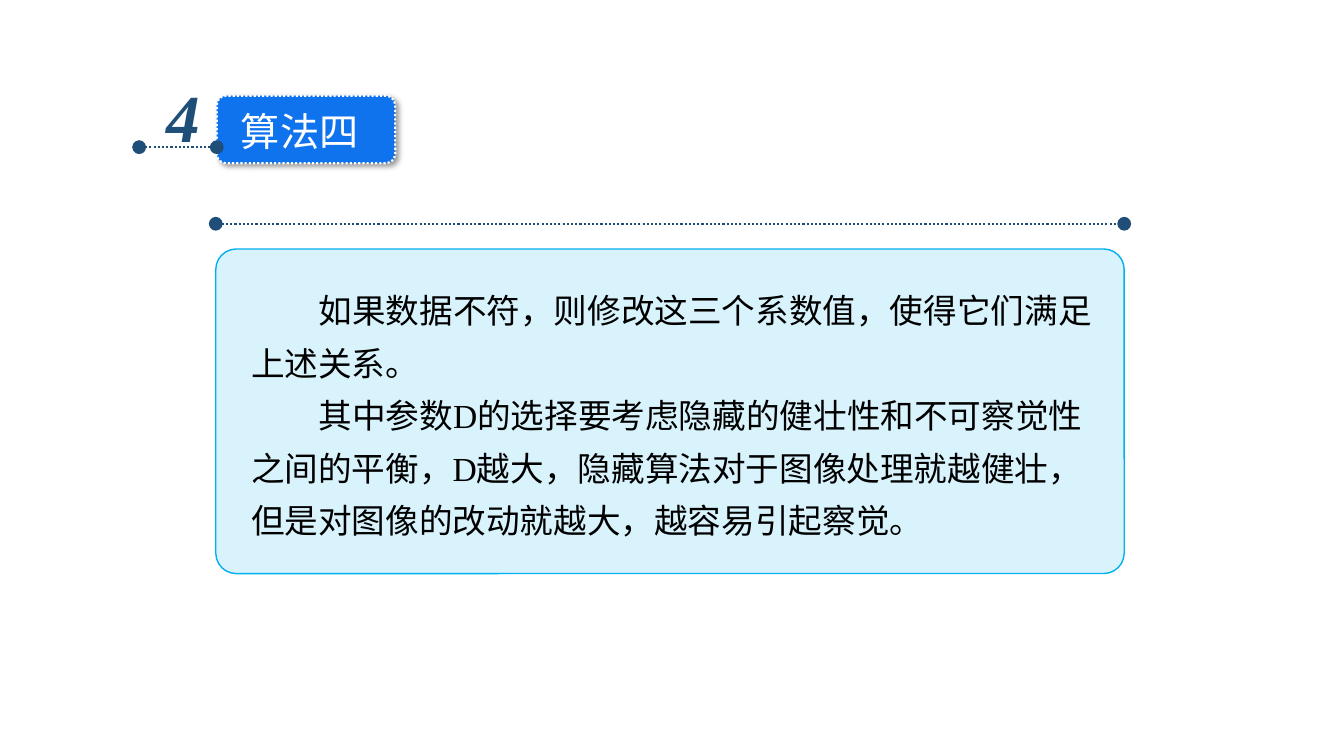
from lxml import etree
from pptx import Presentation
from pptx.dml.color import RGBColor
from pptx.enum.dml import MSO_LINE
from pptx.enum.shapes import MSO_CONNECTOR, MSO_SHAPE
from pptx.enum.text import MSO_ANCHOR, MSO_AUTO_SIZE, PP_ALIGN
from pptx.oxml import parse_xml
from pptx.oxml.ns import nsdecls, qn
from pptx.util import Inches, Pt

# Content
HEADING = "算法四"
NUMBER = "4"
EXPLANATION = [
    "如果数据不符，则修改这三个系数值，使得它们满足上述关系。",
    "其中参数D的选择要考虑隐藏的健壮性和不可察觉性之间的平衡，D越大，"
    "隐藏算法对于图像处理就越健壮，但是对图像的改动就越大，越容易引起察觉。",
]

# Style
NAVY = RGBColor(0x1F, 0x4E, 0x79)
BLUE = RGBColor(0x0F, 0x73, 0xEE)
CYAN = RGBColor(0x00, 0xB0, 0xF0)
WHITE = RGBColor(0xFF, 0xFF, 0xFF)
BLACK = RGBColor(0x00, 0x00, 0x00)
SERIF, SANS = "Times New Roman", "Noto Sans CJK SC"
DOTTED = MSO_LINE.ROUND_DOT
ROUNDED = MSO_SHAPE.ROUNDED_RECTANGLE

# Layout: the panel and the rule above it share their left edge and width
PANEL_LEFT, PANEL_WIDTH = 2.14, 9.01
RULES = [(1.38, 2.15, 1.46), (PANEL_LEFT, PANEL_LEFT + PANEL_WIDTH, 2.22)]


def write(box, paragraphs, size, color, font=SERIF, bold=False, italic=False,
          wrap=True, line_spacing=1.0, indent=0):
    frame = box.text_frame
    frame.word_wrap = wrap
    frame.auto_size = MSO_AUTO_SIZE.NONE
    frame.vertical_anchor = MSO_ANCHOR.TOP
    for i, text in enumerate(paragraphs):
        paragraph = frame.add_paragraph() if i else frame.paragraphs[0]
        properties = paragraph._p.get_or_add_pPr()
        properties.set("marL", "0")
        properties.set("indent", str(Inches(indent)))
        etree.SubElement(properties, qn("a:buNone"))
        paragraph.alignment = PP_ALIGN.LEFT
        paragraph.line_spacing = line_spacing
        paragraph.space_before = paragraph.space_after = Pt(0)
        run = paragraph.add_run()
        run.text = text
        run.font.size, run.font.name = Pt(size), font
        run.font.bold, run.font.italic = bold, italic
        run.font.color.rgb = color
        east_asian = etree.SubElement(run._r.get_or_add_rPr(), qn("a:ea"))
        east_asian.set("typeface", SANS)


def place(box, left, top, width, height):
    box.left, box.top = Inches(left), Inches(top)
    box.width, box.height = Inches(width), Inches(height)


def add_rounded(left, top, width, height, corner, fill, line, line_width):
    shape = slide.shapes.add_shape(
        ROUNDED, Inches(left), Inches(top), Inches(width), Inches(height))
    shape.adjustments[0] = corner
    shape.shadow.inherit = False
    shape.fill.solid()
    shape.fill.fore_color.rgb = fill
    shape.line.color.rgb = line
    shape.line.width = Pt(line_width)
    return shape


prs = Presentation()
prs.slide_width, prs.slide_height = Inches(13.33), Inches(7.5)
slide = prs.slides.add_slide(prs.slide_layouts[1])
heading, explanation = slide.placeholders

# Heading badge with its shadow
badge = add_rounded(2.15, 0.95, 1.77, 0.67, 0.137, BLUE, WHITE, 1.5)
badge.line.dash_style = DOTTED
badge._element.spPr.find(qn("a:effectLst")).append(parse_xml(
    f'<a:outerShdw {nsdecls("a")} blurRad="{Pt(4)}" dist="{Pt(3)}" '
    f'dir="{45 * 60000}" algn="tl" rotWithShape="0"><a:srgbClr val="000000">'
    '<a:alpha val="40000"/></a:srgbClr></a:outerShdw>'))
place(heading, 2.29, 1.01, 1.38, 0.57)
write(heading, [HEADING], 28, WHITE, font=SANS, wrap=False)

# Section number
number = slide.shapes.add_textbox(
    Inches(1.55), Inches(0.7), Inches(0.54), Inches(0.91))
write(number, [NUMBER], 48, NAVY, bold=True, italic=True, wrap=False)

# Dotted rules with round ends
for start, end, y in RULES:
    rule = slide.shapes.add_connector(
        MSO_CONNECTOR.STRAIGHT, Inches(start), Inches(y), Inches(end), Inches(y))
    rule.line.color.rgb = NAVY
    rule.line.width = Pt(1.5)
    rule.line.dash_style = DOTTED
    for tag in ("a:headEnd", "a:tailEnd"):
        dot = etree.SubElement(rule.line._get_or_add_ln(), qn(tag))
        for key, value in (("type", "oval"), ("w", "lg"), ("len", "lg")):
            dot.set(key, value)
    etree.SubElement(rule._element.spPr, qn("a:effectLst"))

# Translucent panel
panel = add_rounded(PANEL_LEFT, 2.47, PANEL_WIDTH, 3.22, 0.063, CYAN, CYAN, 1)
panel_color = panel._element.spPr.find(qn("a:solidFill"))[0]
etree.SubElement(panel_color, qn("a:alpha")).set("val", "15000")

# Explanation
place(explanation, 2.39, 2.71, 8.55, 2.68)
write(explanation, EXPLANATION, 24, BLACK, line_spacing=1.3, indent=0.67)

# Bring the placeholders in front of the badge and the panel
for placeholder in (heading, explanation):
    slide.shapes._spTree.append(placeholder._element)

prs.save("out.pptx")
